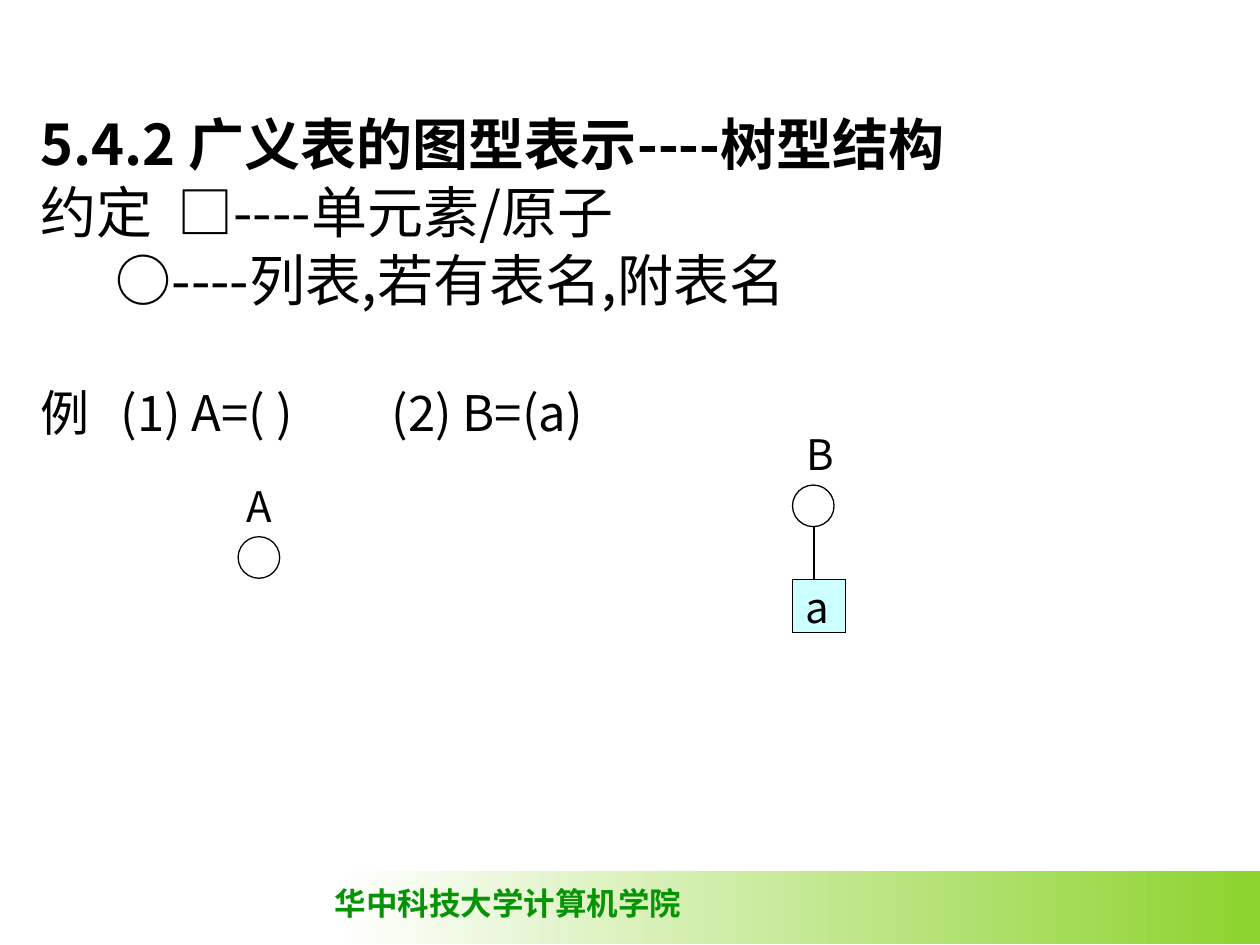
from lxml import etree
from pptx import Presentation
from pptx.dml.color import RGBColor
from pptx.enum.shapes import MSO_CONNECTOR, MSO_SHAPE
from pptx.enum.text import MSO_ANCHOR, PP_ALIGN
from pptx.oxml.ns import qn
from pptx.util import Inches, Pt

BLACK = RGBColor(0, 0, 0)
WHITE = RGBColor(255, 255, 255)
GREEN = RGBColor(0x06, 0x94, 0x06)
LIME = RGBColor(0x8C, 0xD3, 0x2D)
PALE_CYAN = RGBColor(0xCC, 0xFF, 0xFF)
RECTANGLE, OVAL = MSO_SHAPE.RECTANGLE, MSO_SHAPE.OVAL
STRAIGHT = MSO_CONNECTOR.STRAIGHT
LEFT, TOP = PP_ALIGN.LEFT, MSO_ANCHOR.TOP

TEXT_FONT = "Noto Sans CJK SC"
FOOTER_FONT = "Times New Roman"
MARGIN_LEFT = 0.22
FIRST_LINE = 0.92
LINE_PITCH = 0.54
NODE = 0.33
CELL = 0.42
LABEL_HEIGHT = 0.42


def format_paragraph(paragraph, size, bold=False, color=BLACK, name=TEXT_FONT, spacing=0.8):
    paragraph.alignment = LEFT
    paragraph.line_spacing = spacing
    font = paragraph.font
    font.size, font.bold, font.name = Pt(size), bold, name
    font.color.rgb = color
    properties = paragraph._p.pPr.find(qn("a:defRPr"))
    etree.SubElement(properties, qn("a:ea"), typeface=TEXT_FONT)


def add_text(slide, text, left, top, width, height, size, **style):
    box = slide.shapes.add_textbox(Inches(left), Inches(top), Inches(width), Inches(height))
    box.text_frame.word_wrap = False
    paragraph = box.text_frame.paragraphs[0]
    paragraph.text = text
    format_paragraph(paragraph, size, **style)


def add_footer(slide):
    band = slide.shapes.add_shape(RECTANGLE, Inches(2.67), Inches(6.91), Inches(7.33), Inches(0.58))
    band.shadow.inherit = False
    band.line.fill.background()
    band.fill.gradient()
    band.fill.gradient_angle = 0
    for stop, color in zip(band.fill.gradient_stops, (WHITE, LIME)):
        stop.color.rgb = color
    add_text(slide, "华中科技大学计算机学院", 2.56, 6.97, 2.95, 0.4, 18,
             bold=True, color=GREEN, name=FOOTER_FONT, spacing=1)


def add_title(slide, text):
    title = slide.shapes.title
    title.left, title.top, title.width, title.height = (
        Inches(MARGIN_LEFT), Inches(FIRST_LINE), Inches(9.58), Inches(0.62))
    title.text_frame.text = text
    title.text_frame.vertical_anchor = TOP
    format_paragraph(title.text_frame.paragraphs[0], 32, True)


def add_conventions(slide):
    # line number, left, width, size, text
    parts = [
        (1, MARGIN_LEFT, 1.09, 32, "约定"),
        (1, 1.31, 4.2, 32, "□----单元素/原子"),
        (2, 0.82, 6.1, 32, "○----列表,若有表名,附表名"),
        (4, MARGIN_LEFT, 0.64, 28, "例"),
        (4, 0.86, 1.6, 28, "(1) A=( )"),
        (4, 3.01, 1.8, 28, "(2) B=(a)"),
    ]
    for line, left, width, size, text in parts:
        add_text(slide, text, left, FIRST_LINE + line * LINE_PITCH, width, 0.6, size)


def add_list_node(slide, name, left, top, label_left):
    """Draw a list as a circle with its name above."""
    add_text(slide, name, label_left, top - LABEL_HEIGHT, 0.41, LABEL_HEIGHT, 24)
    circle = slide.shapes.add_shape(OVAL, Inches(left), Inches(top), Inches(NODE), Inches(NODE))
    circle.shadow.inherit = False
    circle.fill.background()
    circle.line.color.rgb = BLACK
    circle.line.width = Pt(0.75)


def add_branch(slide, x, top, bottom):
    branch = slide.shapes.add_connector(STRAIGHT, Inches(x), Inches(top), Inches(x), Inches(bottom))
    branch.line.color.rgb = BLACK
    branch.line.width = Pt(0.75)
    etree.SubElement(branch._element.spPr, qn("a:effectLst"))


def add_cell_borders(cell):
    properties = cell._tc.get_or_add_tcPr()
    for index, side in enumerate(("lnL", "lnR", "lnT", "lnB")):
        border = etree.Element(qn(f"a:{side}"), w=str(Pt(1.08)))
        fill = etree.SubElement(border, qn("a:solidFill"))
        etree.SubElement(fill, qn("a:srgbClr"), val=str(BLACK))
        properties.insert(index, border)


def add_atom(slide, text, left, top):
    """Draw an atom as a one-cell table."""
    table = slide.shapes.add_table(
        1, 1, Inches(left), Inches(top), Inches(CELL), Inches(CELL)).table
    cell = table.cell(0, 0)
    cell.fill.solid()
    cell.fill.fore_color.rgb = PALE_CYAN
    cell.margin_top, cell.margin_bottom = Inches(0.04), 0
    cell.text = text
    format_paragraph(cell.text_frame.paragraphs[0], 24)
    add_cell_borders(cell)


def main():
    presentation = Presentation()
    presentation.slide_width, presentation.slide_height = Inches(10), Inches(7.5)
    slide = presentation.slides.add_slide(presentation.slide_layouts[5])
    add_footer(slide)
    add_title(slide, "5.4.2 广义表的图型表示----树型结构")
    add_conventions(slide)
    add_list_node(slide, "A", 1.89, 4.26, 1.86)
    add_list_node(slide, "B", 6.29, 3.85, 6.3)
    add_branch(slide, 6.46, 3.85 + NODE, 4.6)
    add_atom(slide, "a", 6.29, 4.6)
    presentation.save("out.pptx")


if __name__ == "__main__":
    main()
